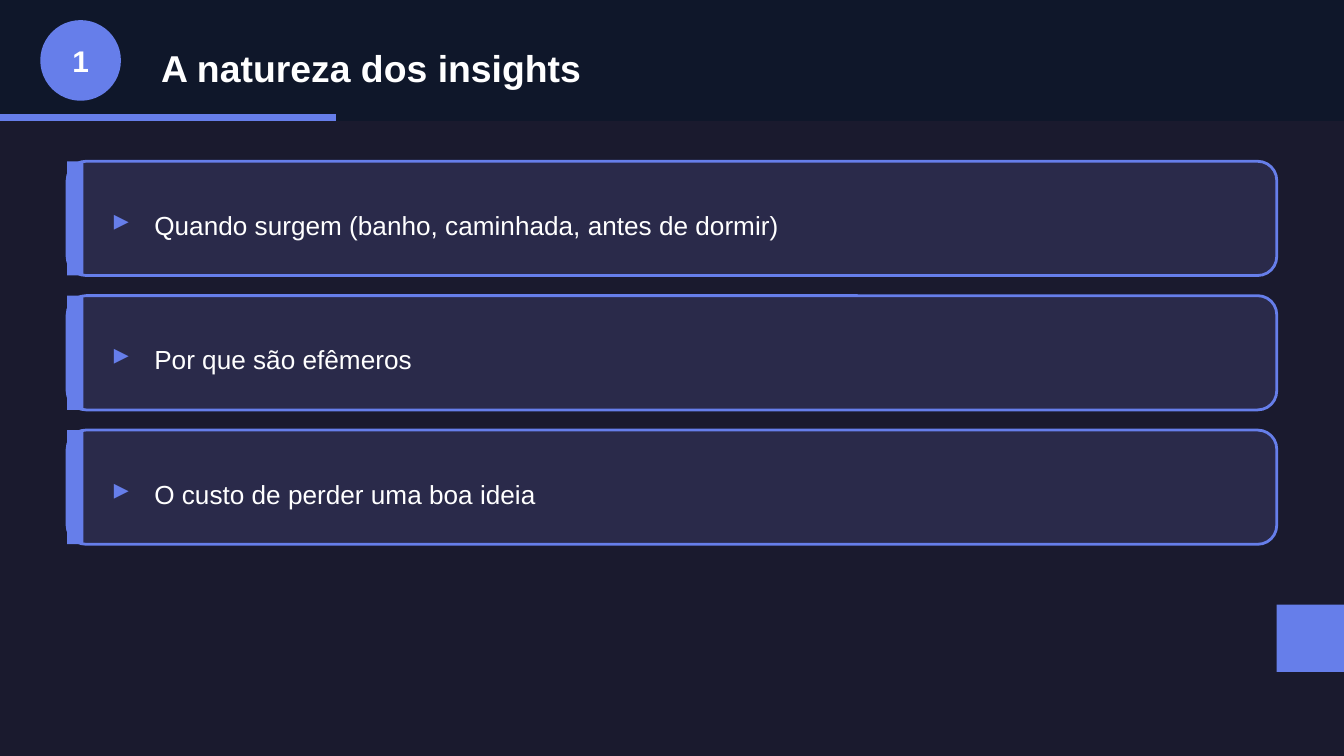
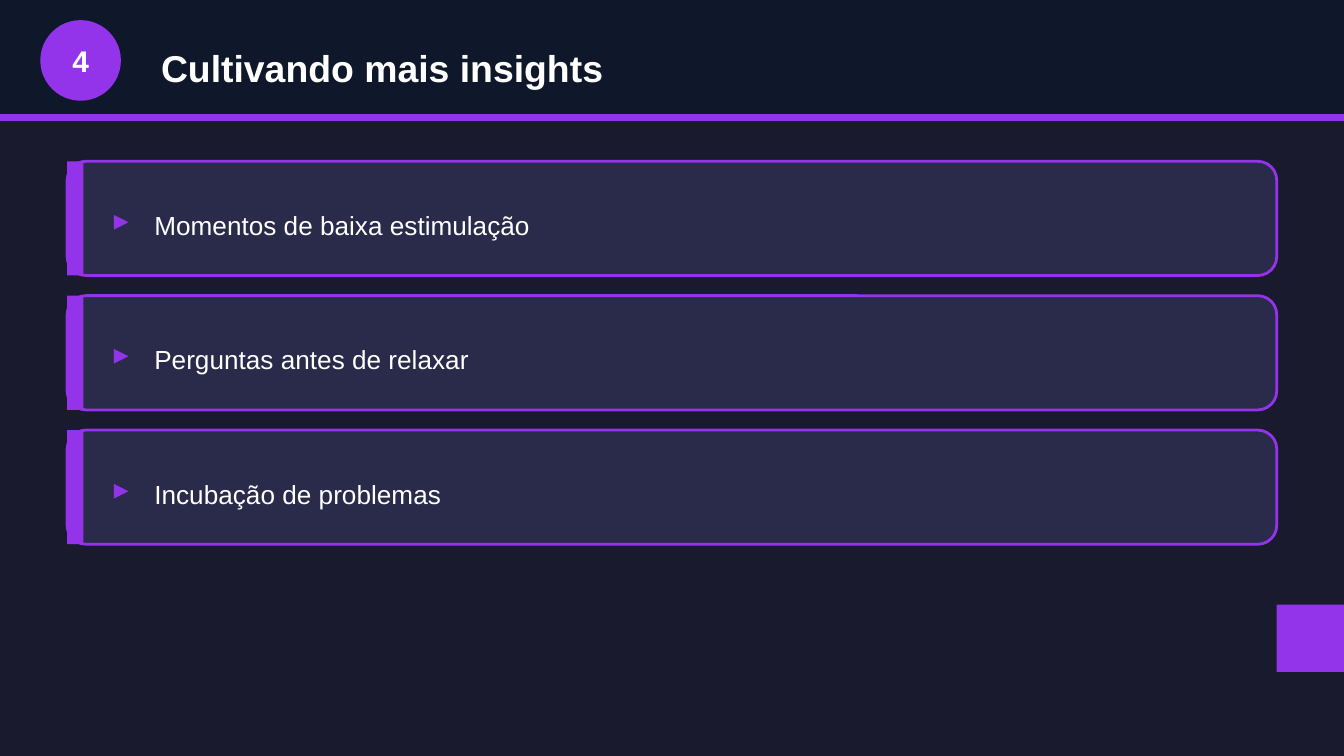
from pptx import Presentation
from pptx.dml.color import RGBColor
from pptx.enum.shapes import MSO_SHAPE as SHAPE
from pptx.enum.text import MSO_ANCHOR as ANCHOR, PP_ALIGN as ALIGN
from pptx.util import Inches, Pt

COLS = 100
SECTIONS = 4
FONT = "Arial"
BACKGROUND, HEADER, CARD, WHITE = "1A1A2E", "0F172A", "2A2A4A", "FFFFFF"
CARD_TOP, CARD_STEP, CARD_HEIGHT = 12, 10, 8.5

SLIDES = [
    (1, "A natureza dos insights", "667EEA", [
        "Quando surgem (banho, caminhada, antes de dormir)",
        "Por que são efêmeros",
        "O custo de perder uma boa ideia",
    ]),
    (4, "Cultivando mais insights", "9333EA", [
        "Momentos de baixa estimulação",
        "Perguntas antes de relaxar",
        "Incubação de problemas",
    ]),
]


def rgb(color):
    """Turn a hex string into a colour."""
    return RGBColor.from_string(color)


def cells(*lengths):
    """Turn grid cells, a tenth of an inch each, into slide lengths."""
    return [Inches(n / 10) for n in lengths]


def add_block(s, kind, box, fill, line=None):
    """Add a filled shape, outlined only when a line colour is given."""
    sp = s.shapes.add_shape(kind, *cells(*box))
    sp.shadow.inherit = False
    sp.fill.solid()
    sp.fill.fore_color.rgb = rgb(fill)
    if line:
        sp.line.color.rgb = rgb(line)
        sp.line.width = Pt(1.5)
    else:
        sp.line.fill.background()


def add_text(s, text, box, size, color=WHITE, bold=False, align=None):
    """Add one vertically centred line of text."""
    tf = s.shapes.add_textbox(*cells(*box)).text_frame
    tf.word_wrap = True
    tf.vertical_anchor = ANCHOR.MIDDLE
    tf.text = text
    p = tf.paragraphs[0]
    p.alignment = align
    font = p.runs[0].font
    font.name, font.size, font.bold = FONT, Pt(size), bold
    font.color.rgb = rgb(color)


def add_header(s, number, title, accent):
    """Add the title band with its progress bar and number badge."""
    add_block(s, SHAPE.RECTANGLE, (0, 0, COLS, 9), HEADER)
    add_block(s, SHAPE.RECTANGLE, (0, 8.5, COLS * number / SECTIONS, 0.5), accent)
    add_block(s, SHAPE.OVAL, (3, 1.5, 6, 6), accent)
    add_text(s, str(number), (3, 2.5, 6, 4), 16, bold=True, align=ALIGN.CENTER)
    add_text(s, title, (11, 2.5, 85, 5), 20, bold=True)


def add_card(s, top, text, accent):
    """Add a rounded card with an accent edge, a marker and its text."""
    add_block(s, SHAPE.ROUNDED_RECTANGLE, (5, top, 90, CARD_HEIGHT), CARD, accent)
    add_block(s, SHAPE.RECTANGLE, (5, top, 1.2, CARD_HEIGHT), accent)
    add_text(s, "▸", (7.5, top + 2.5, 3, 3.5), 16, accent, bold=True)
    add_text(s, text, (10.5, top + 2.5, 82, 4.5), 14)


def add_section(prs, number, title, accent, points):
    """Add one section slide with a card for each point."""
    s = prs.slides.add_slide(prs.slide_layouts[6])
    s.background.fill.solid()
    s.background.fill.fore_color.rgb = rgb(BACKGROUND)
    add_header(s, number, title, accent)
    for i, point in enumerate(points):
        add_card(s, CARD_TOP + i * CARD_STEP, point, accent)
    add_block(s, SHAPE.RECTANGLE, (COLS - 5, 45, 5, 5), accent)


def main():
    """Build and save the presentation."""
    prs = Presentation()
    prs.slide_width = Inches(10)
    prs.slide_height = prs.slide_width * 9 // 16
    for section in SLIDES:
        add_section(prs, *section)
    prs.save("out.pptx")


if __name__ == "__main__":
    main()
